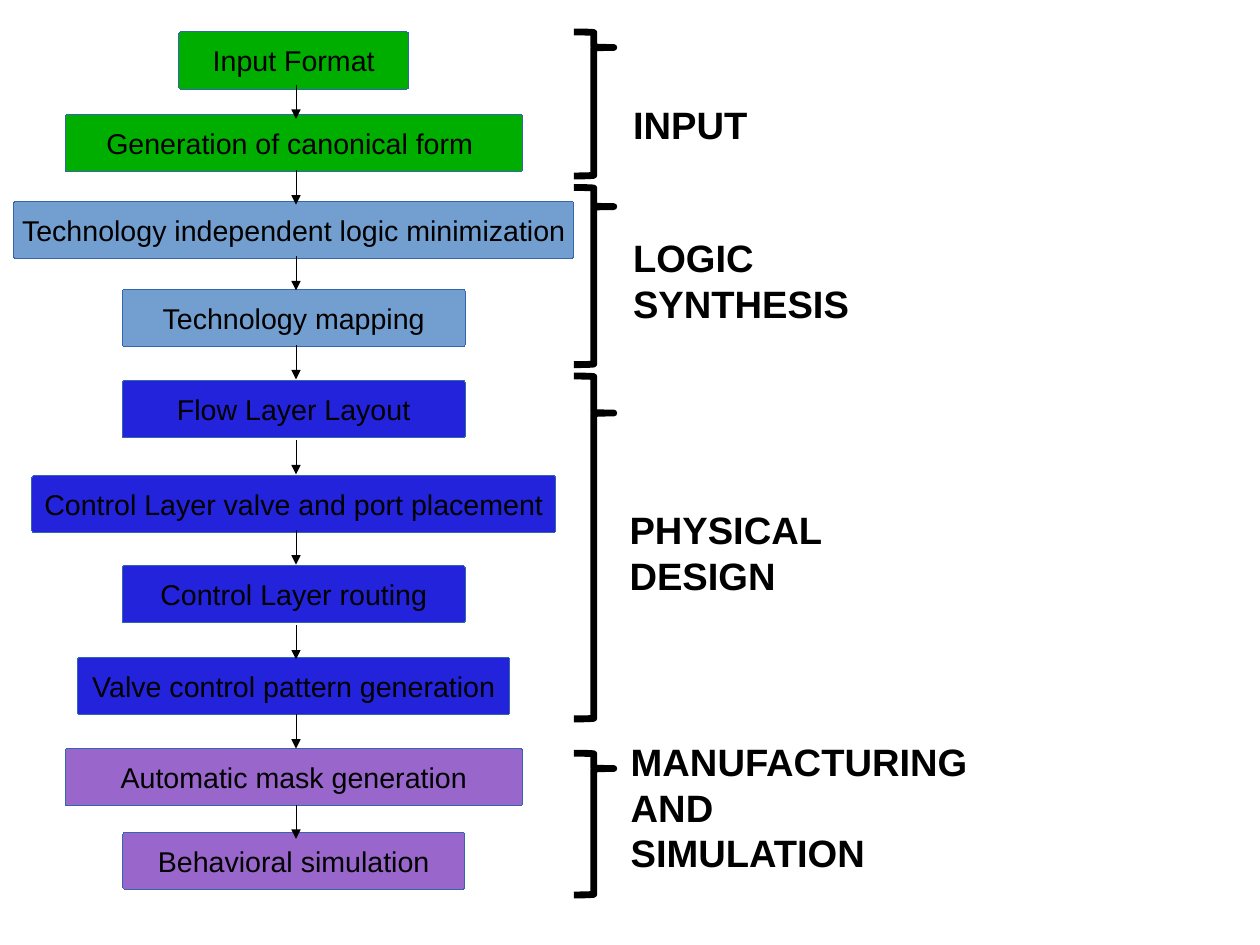
"""Build a design-flow slide: stacked steps grouped by braces into four phases."""
from dataclasses import dataclass

from lxml.etree import SubElement
from pptx import Presentation
from pptx.dml.color import RGBColor
from pptx.enum.shapes import MSO_CONNECTOR, MSO_SHAPE
from pptx.enum.text import MSO_ANCHOR, PP_ALIGN
from pptx.oxml.ns import qn
from pptx.util import Inches, Pt


@dataclass(frozen=True)
class Theme:
    font: str = "Arial"
    ink: str = "000000"
    outline: str = "3465AF"
    green: str = "00AE00"
    sky: str = "729FCF"
    blue: str = "2323DC"
    violet: str = "9966CC"
    step_size: int = 18
    phase_size: int = 24
    brace_line: float = 4.31


THEME = Theme()
CM_PER_INCH = 2.54
CENTER = 2.57
STEP_HEIGHT = 0.5
ARROW_X = 2.59
ARROW_LENGTH = 0.3
BRACE_LEFT, BRACE_WIDTH = 5.02, 0.35

STEPS = [
    ("Input Format", 0.28, 2.01, THEME.green),
    ("Generation of canonical form ", 1, 4, THEME.green),
    ("Technology independent logic minimization", 1.76, 4.9, THEME.sky),
    ("Technology mapping", 2.53, 3, THEME.sky),
    ("Flow Layer Layout", 3.33, 3, THEME.blue),
    ("Control Layer valve and port placement", 4.16, 4.58, THEME.blue),
    ("Control Layer routing", 4.95, 3, THEME.blue),
    ("Valve control pattern generation", 5.75, 3.78, THEME.blue),
    ("Automatic mask generation", 6.55, 4, THEME.violet),
    ("Behavioral simulation", 7.28, 2.99, THEME.violet),
]
PHASES = [
    ("INPUT", (0.28, 1.26), (5.44, 0.84, 1.22, 0.48)),
    ("LOGIC\nSYNTHESIS", (1.64, 1.55), (5.44, 2, 2.11, 0.84)),
    ("PHYSICAL\vDESIGN", (3.29, 3), (5.41, 4.38, 1.9, 0.84)),
    ("MANUFACTURING\nAND\nSIMULATION", (6.59, 1.24), (5.42, 6.41, 3.16, 1.21)),
]
ARROW_TOPS = [0.74, 1.49, 2.24, 3.02, 3.85, 4.64, 5.47, 6.25, 7.04]


def write_text(frame, text, *, size, bold=False, align=PP_ALIGN.LEFT, anchor=MSO_ANCHOR.TOP):
    """Fill a text frame and format all of its text."""
    frame.word_wrap = False
    frame.vertical_anchor = anchor
    frame.text = text
    for para in frame.paragraphs:
        para.alignment = align
        for span in para.runs:
            span.font.name = THEME.font
            span.font.size = Pt(size)
            span.font.bold = bold
            span.font.color.rgb = RGBColor.from_string(THEME.ink)


def set_line(shape, color, width=None):
    """Drop the preset style and draw a hairline, or a line of the given points."""
    shape._element.remove(shape._element.find(qn("p:style")))
    shape.line.color.rgb = RGBColor.from_string(color)
    if width:
        shape.line.width = Pt(width)


def add_step(page, text, top, width, color):
    """Add one filled step, centred on the flow column."""
    box = page.shapes.add_shape(
        MSO_SHAPE.ROUNDED_RECTANGLE,
        Inches(CENTER - width / 2), Inches(top), Inches(width), Inches(STEP_HEIGHT),
    )
    box.adjustments[0] = 0.036
    box.shadow.inherit = False
    box.fill.solid()
    box.fill.fore_color.rgb = RGBColor.from_string(color)
    set_line(box, THEME.outline)
    write_text(box.text_frame, text, size=THEME.step_size,
               align=PP_ALIGN.CENTER, anchor=MSO_ANCHOR.MIDDLE)


def add_brace(page, top, height):
    """Add a brace that spans the steps of one phase."""
    brace = page.shapes.add_shape(
        MSO_SHAPE.RIGHT_BRACE,
        Inches(BRACE_LEFT), Inches(top), Inches(BRACE_WIDTH), Inches(height),
    )
    brace.adjustments[0] = 0.018
    brace.adjustments[1] = 0.108
    brace.shadow.inherit = False
    brace.fill.background()
    set_line(brace, THEME.ink, THEME.brace_line)


def add_phase_label(page, text, place):
    """Add the bold name of one phase."""
    box = page.shapes.add_textbox(*map(Inches, place))
    write_text(box.text_frame, text, size=THEME.phase_size, bold=True)


def add_arrow(page, top):
    """Add a short downward arrow between two steps."""
    arrow = page.shapes.add_connector(
        MSO_CONNECTOR.STRAIGHT,
        Inches(ARROW_X), Inches(top), Inches(ARROW_X), Inches(top + ARROW_LENGTH),
    )
    set_line(arrow, THEME.ink)
    SubElement(arrow.line._get_or_add_ln(), qn("a:tailEnd"), type="triangle")
    SubElement(arrow._element.spPr, qn("a:effectLst"))


def main():
    """Build the slide and save it."""
    deck = Presentation()
    deck.slide_width = Inches(28 / CM_PER_INCH)
    deck.slide_height = Inches(21 / CM_PER_INCH)
    page = deck.slides.add_slide(deck.slide_layouts[6])
    for step in STEPS:
        add_step(page, *step)
    for name, span, place in PHASES:
        add_brace(page, *span)
        add_phase_label(page, name, place)
    for top in ARROW_TOPS:
        add_arrow(page, top)
    deck.save("out.pptx")


if __name__ == "__main__":
    main()
